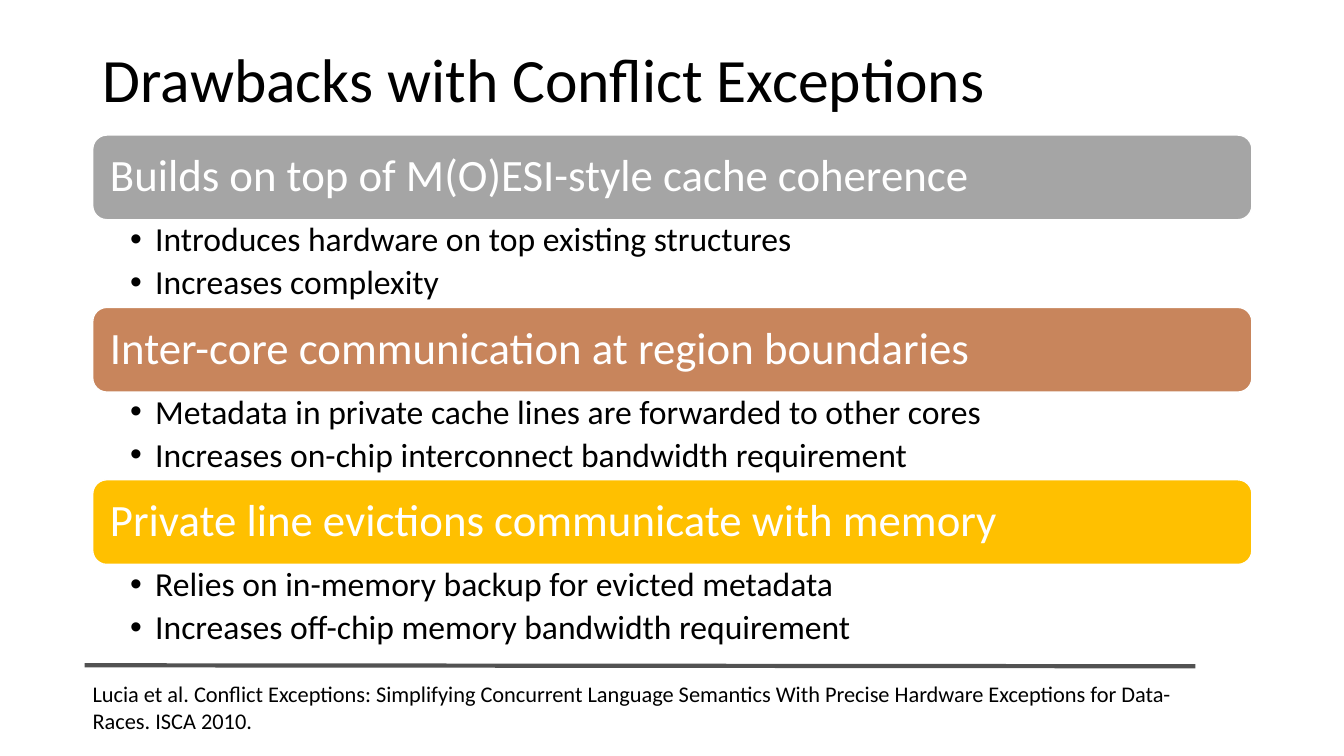
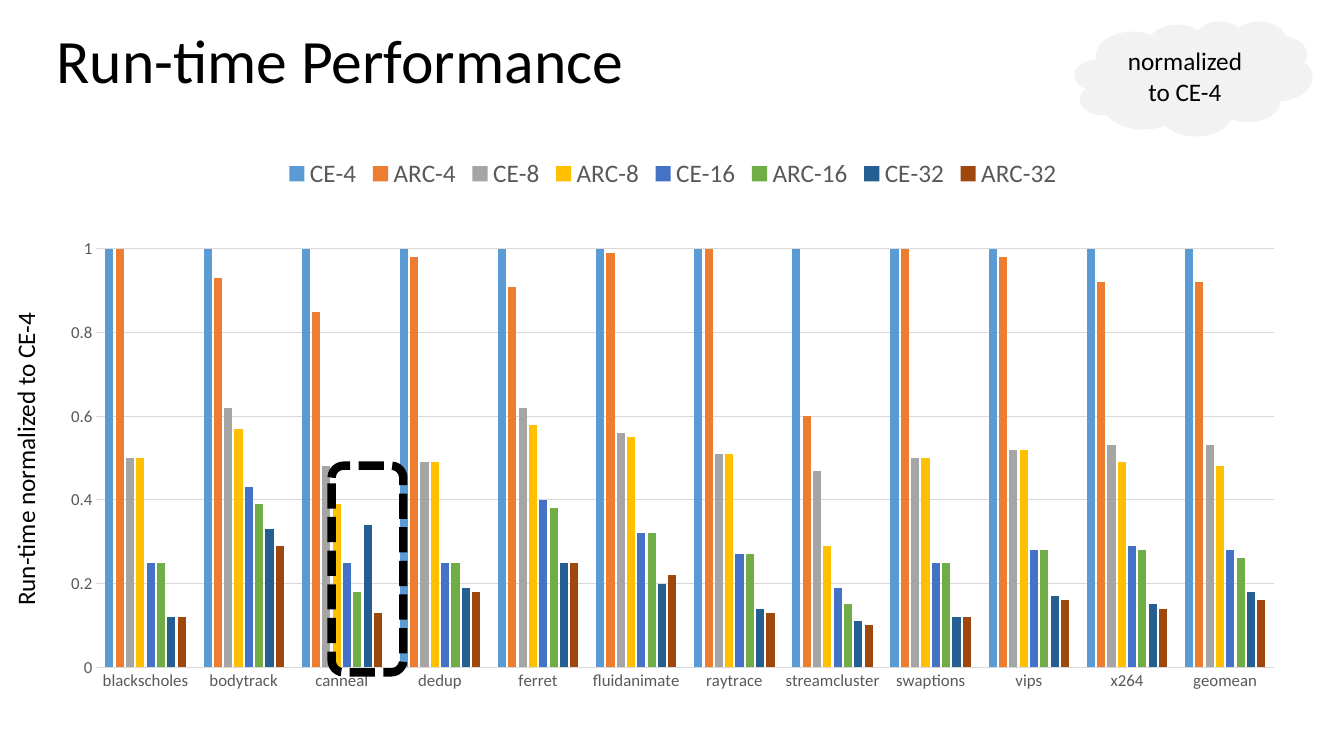
"""Build two slides: drawbacks of conflict exceptions and run-time performance."""
from lxml import etree
from pptx import Presentation
from pptx import util as u
from pptx.chart import data as chart_data
from pptx.dml.color import RGBColor
from pptx.enum import chart as charts, dml, shapes, text
from pptx.oxml import parse_xml
from pptx.oxml.ns import nsdecls, qn

PX = 9144
FONT = "Calibri"
COLORS = {
    "black": "000000", "white": "FFFFFF", "axis": "595959", "grid": "D9D9D9",
    "rule": "525252", "cloud": "F2F2F2", "gray": "A5A5A5", "clay": "C8855C",
    "gold": "FFC000", "blue": "5B9BD5", "orange": "ED7D31", "royal": "4472C4",
    "green": "70AD47", "navy": "255E91", "brown": "9E480E",
}
RGB = {name: RGBColor.from_string(value) for name, value in COLORS.items()}


def px(*lengths):
    """Turn pixel lengths into EMU."""
    return [u.Emu(length * PX) for length in lengths]


def write(box, lines, size, color="black", align=text.PP_ALIGN.LEFT,
          anchor=text.MSO_ANCHOR.TOP, insets=(10, 5, 10, 5),
          spacing=None, after=0, bullet=False):
    """Fill a shape with formatted paragraphs."""
    frame = box.text_frame
    frame.word_wrap = True
    frame.auto_size = text.MSO_AUTO_SIZE.NONE
    frame.vertical_anchor = anchor
    (frame.margin_left, frame.margin_top,
     frame.margin_right, frame.margin_bottom) = px(*insets)
    for index, line in enumerate(lines):
        para = frame.paragraphs[0] if index == 0 else frame.add_paragraph()
        if bullet:
            properties = para._p.get_or_add_pPr()
            indent = px(25)[0]
            properties.set("marL", str(indent))
            properties.set("indent", str(-indent))
            etree.SubElement(properties, qn("a:buFont")).set("typeface", "Arial")
            etree.SubElement(properties, qn("a:buChar")).set("char", "•")
        para.alignment = align
        para.line_spacing = spacing
        para.space_after = u.Pt(after)
        span = para.add_run()
        span.text = line
        span.font.name = FONT
        span.font.size = u.Pt(size)
        span.font.color.rgb = RGB[color]


deck = Presentation()
deck.slide_width, deck.slide_height = u.Inches(13.333), u.Inches(7.5)

pages = []
for heading, place in [
    ("Drawbacks with Conflict Exceptions", (92, 30, 1150, 104)),
    ("Run-time Performance", (46, 15, 1150, 97)),
]:
    page = deck.slides.add_slide(deck.slide_layouts[5])
    title = page.shapes.title
    title.left, title.top, title.width, title.height = px(*place)
    write(title, [heading], 44, anchor=text.MSO_ANCHOR.MIDDLE, spacing=0.9)
    pages.append(page)
drawbacks, performance = pages

sections = [
    ("gray", "Builds on top of M(O)ESI-style cache coherence",
     ["Introduces hardware on top existing structures", "Increases complexity"]),
    ("clay", "Inter-core communication at region boundaries",
     ["Metadata in private cache lines are forwarded to other cores",
      "Increases on-chip interconnect bandwidth requirement"]),
    ("gold", "Private line evictions communicate with memory",
     ["Relies on in-memory backup for evicted metadata",
      "Increases off-chip memory bandwidth requirement"]),
]
for index, (color, heading, points) in enumerate(sections):
    top = 134 + 171 * index
    bar = drawbacks.shapes.add_shape(
        shapes.MSO_SHAPE.ROUNDED_RECTANGLE, *px(92, top, 1150, 84))
    bar.shadow.inherit = False
    bar.fill.solid()
    bar.fill.fore_color.rgb = RGB[color]
    bar.line.color.rgb = RGB["white"]
    bar.line.width = u.Pt(1)
    write(bar, [heading], 32, color="white", anchor=text.MSO_ANCHOR.MIDDLE,
          insets=(13, 13, 13, 13), spacing=0.9)
    details = drawbacks.shapes.add_textbox(*px(92, top + 84, 1150, 87))
    write(details, points, 24, insets=(37, 3, 19, 3),
          spacing=0.9, after=4.8, bullet=True)

citation = drawbacks.shapes.add_textbox(*px(82, 670, 1102, 64))
write(citation, ["Lucia et al. Conflict Exceptions: Simplifying Concurrent Language "
                 "Semantics With Precise Hardware Exceptions for Data-Races. "
                 "ISCA 2010."], 16)
rule = drawbacks.shapes.add_connector(
    shapes.MSO_CONNECTOR.STRAIGHT, *px(84, 660, 1186, 661))
rule.line.color.rgb = RGB["rule"]
rule.line.width = u.Pt(3)
etree.SubElement(rule._element.spPr, qn("a:effectLst"))

series_rows = [
    ("CE-4", "blue", [1] * 12),
    ("ARC-4", "orange",
     [1, 0.93, 0.85, 0.98, 0.91, 0.99, 1, 0.6, 1, 0.98, 0.92, 0.92]),
    ("CE-8", "gray",
     [0.5, 0.62, 0.48, 0.49, 0.62, 0.56, 0.51, 0.47, 0.5, 0.52, 0.53, 0.53]),
    ("ARC-8", "gold",
     [0.5, 0.57, 0.39, 0.49, 0.58, 0.55, 0.51, 0.29, 0.5, 0.52, 0.49, 0.48]),
    ("CE-16", "royal",
     [0.25, 0.43, 0.25, 0.25, 0.4, 0.32, 0.27, 0.19, 0.25, 0.28, 0.29, 0.28]),
    ("ARC-16", "green",
     [0.25, 0.39, 0.18, 0.25, 0.38, 0.32, 0.27, 0.15, 0.25, 0.28, 0.28, 0.26]),
    ("CE-32", "navy",
     [0.12, 0.33, 0.34, 0.19, 0.25, 0.2, 0.14, 0.11, 0.12, 0.17, 0.15, 0.18]),
    ("ARC-32", "brown",
     [0.12, 0.29, 0.13, 0.18, 0.25, 0.22, 0.13, 0.1, 0.12, 0.16, 0.14, 0.16]),
]
run_times = chart_data.CategoryChartData()
run_times.categories = [
    "blackscholes", "bodytrack", "canneal", "dedup", "ferret", "fluidanimate",
    "raytrace", "streamcluster", "swaptions", "vips", "x264", "geomean"]
for name, color, values in series_rows:
    run_times.add_series(name, values)
chart = performance.shapes.add_chart(
    charts.XL_CHART_TYPE.COLUMN_CLUSTERED, *px(46, 145, 1243, 550), run_times).chart
chart.has_title = False
chart.font.name = FONT
chart.font.size = u.Pt(10)
chart.font.color.rgb = RGB["black"]
chart.has_legend = True
chart.legend.position = charts.XL_LEGEND_POSITION.TOP
chart.legend.include_in_layout = False

plot = chart.plots[0]
plot.vary_by_categories = False
plot.gap_width = 219
plot.overlap = -27
for series, (name, color, values) in zip(plot.series, series_rows):
    series.format.fill.solid()
    series.format.fill.fore_color.rgb = RGB[color]

for axis in (chart.category_axis, chart.value_axis):
    axis.major_tick_mark = axis.minor_tick_mark = charts.XL_TICK_MARK.NONE
for font, size in [(chart.legend.font, 18),
                   (chart.category_axis.tick_labels.font, 12),
                   (chart.value_axis.tick_labels.font, 12)]:
    font.name = FONT
    font.size = u.Pt(size)
    font.color.rgb = RGB["axis"]
chart.value_axis.minimum_scale = 0
chart.value_axis.maximum_scale = 1.1
chart.value_axis.major_unit = 0.2
chart.value_axis.format.line.fill.background()
for line in (chart.category_axis.format.line,
             chart.value_axis.major_gridlines.format.line):
    line.color.rgb = RGB["grid"]
    line.width = u.Pt(0.75)

plot_area = chart._chartSpace.chart.plotArea
for layout in plot_area.findall(qn("c:layout")):
    plot_area.remove(layout)
plot_area.insert(0, parse_xml(
    f'<c:layout {nsdecls("c")}><c:manualLayout><c:layoutTarget val="inner"/>'
    '<c:xMode val="edge"/><c:yMode val="edge"/><c:x val="0.04"/><c:y val="0.11"/>'
    '<c:w val="0.94"/><c:h val="0.83"/></c:manualLayout></c:layout>'))

cloud = performance.shapes.add_shape(shapes.MSO_SHAPE.CLOUD, *px(1066, 21, 236, 114))
cloud.shadow.inherit = False
cloud.fill.solid()
cloud.fill.fore_color.rgb = RGB["cloud"]
cloud.line.fill.background()
write(cloud, ["normalized to CE-4"], 18, align=text.PP_ALIGN.CENTER,
      anchor=text.MSO_ANCHOR.MIDDLE)

highlight = performance.shapes.add_shape(
    shapes.MSO_SHAPE.ROUNDED_RECTANGLE, *px(329, 462, 71, 205))
highlight.shadow.inherit = False
highlight.fill.background()
highlight.line.color.rgb = RGB["black"]
highlight.line.width = u.Pt(6)
highlight.line.dash_style = dml.MSO_LINE.SQUARE_DOT

axis_label = performance.shapes.add_textbox(*px(-144, 422, 338, 40))
axis_label.rotation = 270
write(axis_label, ["Run-time normalized to CE-4"], 18)

deck.save("out.pptx")
